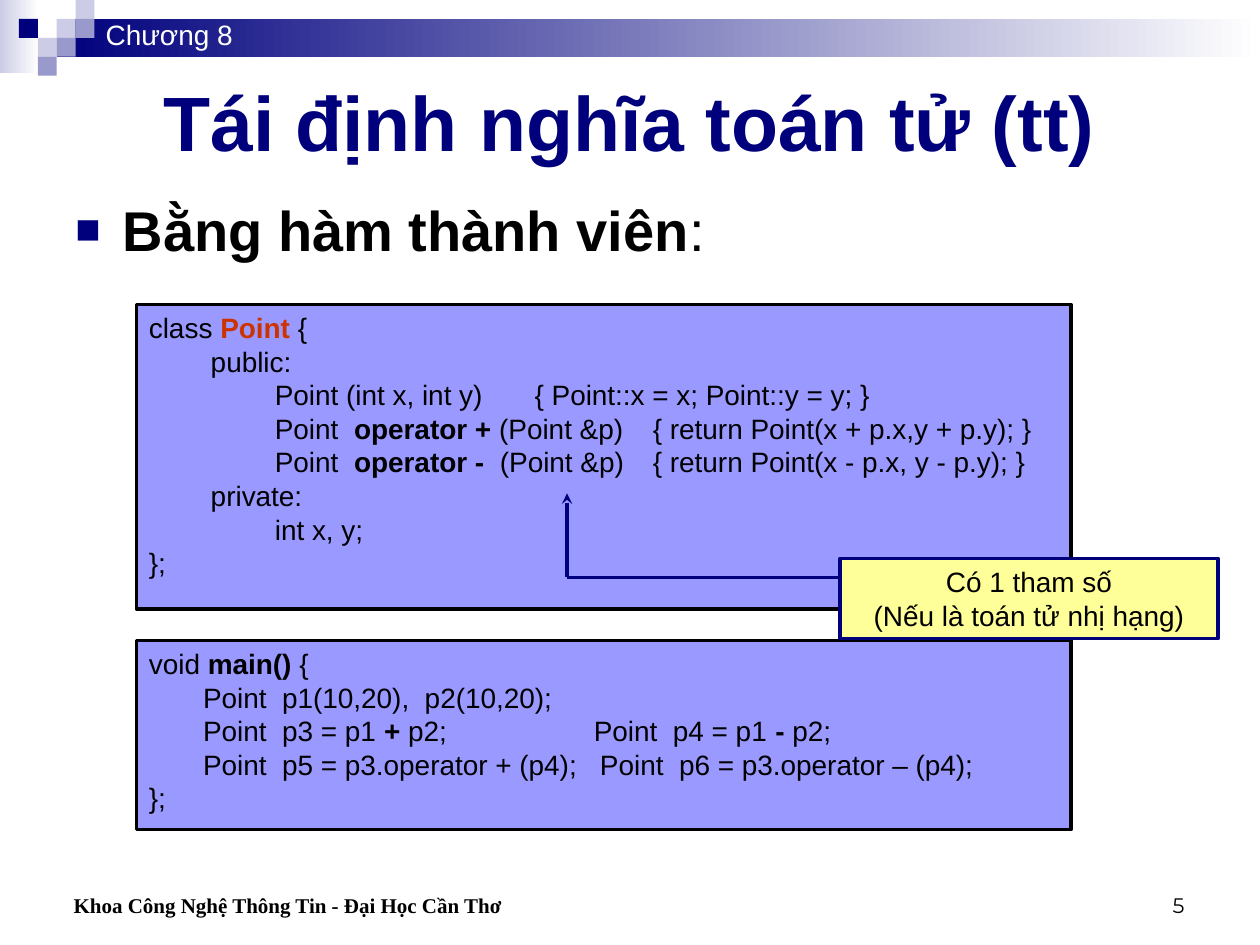
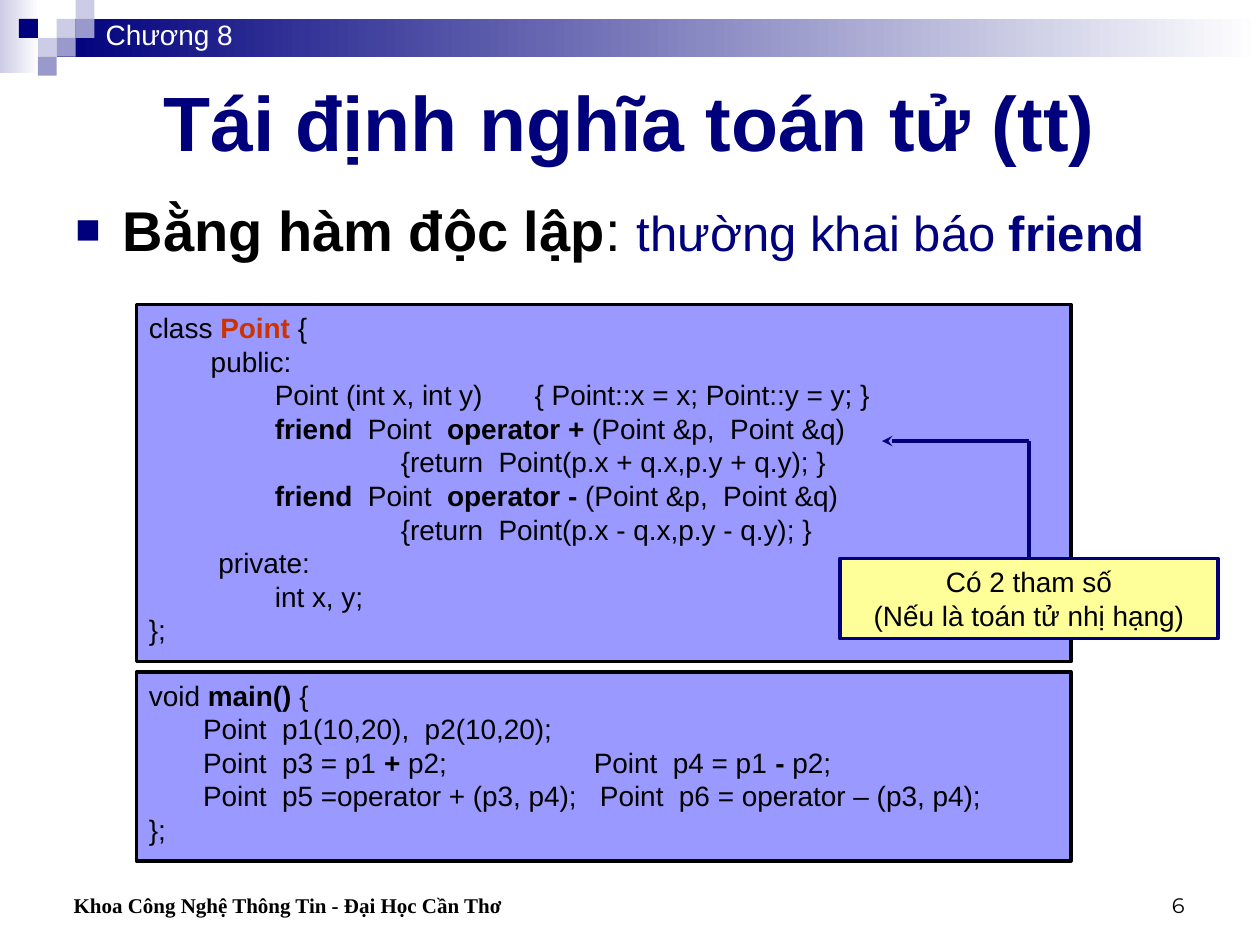
from lxml import etree
from pptx import Presentation, util as u
from pptx.dml.color import RGBColor
from pptx.enum import shapes, text
from pptx.oxml.ns import qn

NAVY, LILAC, MAUVE = "00007D", "CCCCE6", "9999CC"
WHITE, BLACK, RED = "FFFFFF", "000000", "CC3300"
CODE_FILL, NOTE_FILL = "9999FF", "FFFF99"

CHAPTER = "Chương 8"
TITLE = "Tái định nghĩa toán tử (tt)"
FOOTER = "Khoa Công Nghệ Thông Tin - Đại Học Cần Thơ"

GRADIENT_BANDS = [(0, 0, 22.3, 41.8, LILAC), (32.4, 10.8, 687.6, 21.6, NAVY)]
SQUARE = 10.8
SQUARES = [(3, 1, LILAC), (4, 0, LILAC), (4, 1, MAUVE), (2, 2, LILAC),
           (1, 1, NAVY), (3, 2, MAUVE), (2, 3, MAUVE)]

CODE_LEFT, CODE_TOP, CODE_WIDTH, MAIN_HEIGHT = 78, 174, 534, 108
NOTE_BOX = (480, 319, 216, 46)
BOLD_MARK = "|"
BOLD_COLORS = {"Point": RED}

CLASS_START = [
    "class |Point| {",
    "        public:",
    "\tPoint (int x, int y)\t { Point::x = x; Point::y = y; }",
]
MAIN_START = [
    "void |main()| {",
    "       Point  p1(10,20),  p2(10,20);",
    "       Point  p3 = p1 |+| p2;                   Point  p4 = p1 |-| p2;",
]
CLASS_END = ["\tint x, y;", "};"]

SLIDES = [
    {
        "number": "5",
        "heading": [("Bằng hàm thành viên", 32, BLACK, True), (":", 32, BLACK, False)],
        "class_height": 174,
        "class_code": CLASS_START + [
            "\tPoint  |operator +| (Point &p)\t{ return Point(x + p.x,y + p.y); }",
            "\tPoint  |operator - | (Point &p)\t{ return Point(x - p.x, y - p.y); }",
            "        private:",
        ] + CLASS_END,
        "main_top": 366,
        "main_code": MAIN_START + [
            "       Point  p5 = p3.operator + (p4);   Point  p6 = p3.operator – (p4);",
            "};",
        ],
        "note": ["Có 1 tham số", "(Nếu là toán tử nhị hạng)"],
        "pointer": [(480, 330), (324, 330), (324, 282)],
        "from_note_top": False,
    },
    {
        "number": "6",
        "heading": [("Bằng hàm độc lập", 32, BLACK, True), (": ", 32, BLACK, False),
                    ("thường khai báo ", 28, NAVY, False), ("friend", 28, NAVY, True)],
        "class_height": 204,
        "class_code": CLASS_START + [
            "\t|friend|  Point  |operator +| (Point &p,  Point &q)",
            "\t\t{return  Point(p.x + q.x,p.y + q.y); }",
            "\t|friend|  Point  |operator -| (Point &p,  Point &q)",
            "\t\t{return  Point(p.x - q.x,p.y - q.y); }",
            "         private:",
        ] + CLASS_END,
        "main_top": 384,
        "main_code": MAIN_START + [
            "       Point  p5 =operator + (p3, p4);   Point  p6 = operator – (p3, p4);",
            "};",
        ],
        "note": ["Có 2 tham số", "(Nếu là toán tử nhị hạng)"],
        "pointer": [(588, 319), (588, 252), (504, 252)],
        "from_note_top": True,
    },
]


def rgb(value):
    return RGBColor.from_string(value)


def points(*values):
    return [u.Pt(value) for value in values]


def set_font(font, size, color, bold=False, name="Arial"):
    font.name, font.size, font.bold = name, u.Pt(size), bold
    font.color.rgb = rgb(color)


def add_rectangle(slide, box, fill, line=None):
    shape = slide.shapes.add_shape(shapes.MSO_SHAPE.RECTANGLE, *points(*box))
    shape.shadow.inherit = False
    shape.fill.solid()
    shape.fill.fore_color.rgb = rgb(fill)
    if line:
        shape.line.color.rgb = rgb(line)
        shape.line.width = u.Pt(2)
    else:
        shape.line.fill.background()
    return shape


def prepare_frame(shape, anchor):
    frame = shape.text_frame
    frame.word_wrap = True
    frame.vertical_anchor = anchor
    return frame


def add_label(slide, box, label, size, color, bold=False, name="Arial",
              align=text.PP_ALIGN.LEFT, anchor=text.MSO_ANCHOR.TOP):
    frame = prepare_frame(slide.shapes.add_textbox(*points(*box)), anchor)
    paragraph = frame.paragraphs[0]
    paragraph.text = label
    paragraph.alignment = align
    set_font(paragraph.font, size, color, bold, name)


def add_element(parent, tag, **attributes):
    return etree.SubElement(parent, qn(tag), attributes)


def add_heading(slide, runs):
    shape = slide.shapes.add_textbox(*points(36, 108, 660, 60))
    paragraph = prepare_frame(shape, text.MSO_ANCHOR.TOP).paragraphs[0]
    properties = paragraph._p.get_or_add_pPr()
    properties.set("marL", str(u.Pt(27)))
    properties.set("indent", str(u.Pt(-27)))
    add_element(add_element(properties, "a:buClr"), "a:srgbClr", val=NAVY)
    add_element(properties, "a:buSzPct", val="75000")
    add_element(properties, "a:buFont", typeface="Arial")
    add_element(properties, "a:buChar", char="■")
    for words, size, color, bold in runs:
        run = paragraph.add_run()
        run.text = words
        set_font(run.font, size, color, bold)


def add_lines(shape, lines, align, anchor):
    frame = prepare_frame(shape, anchor)
    for index, line in enumerate(lines):
        paragraph = frame.add_paragraph() if index else frame.paragraphs[0]
        paragraph.alignment = align
        tabs = add_element(paragraph._p.get_or_add_pPr(), "a:tabLst")
        for stop in range(1, 8):
            add_element(tabs, "a:tab", pos=str(u.Pt(72 * stop)), algn="l")
        set_font(paragraph.font, 16, BLACK)
        for part, words in enumerate(line.split(BOLD_MARK)):
            if words:
                bold = part % 2 == 1
                run = paragraph.add_run()
                run.text = words
                set_font(run.font, 16, BOLD_COLORS.get(words, BLACK) if bold else BLACK, bold)


def add_code(slide, top, height, lines):
    shape = add_rectangle(slide, (CODE_LEFT, top, CODE_WIDTH, height), CODE_FILL, BLACK)
    add_lines(shape, lines, text.PP_ALIGN.LEFT, text.MSO_ANCHOR.TOP)


def add_line(slide, start, end):
    connector = slide.shapes.add_connector(shapes.MSO_CONNECTOR.STRAIGHT, *points(*start, *end))
    connector.line.color.rgb = rgb(NAVY)
    connector.line.width = u.Pt(2)
    add_element(connector._element.spPr, "a:effectLst")
    return connector


def add_note(slide, content):
    note = add_rectangle(slide, NOTE_BOX, NOTE_FILL, NAVY)
    add_lines(note, content["note"], text.PP_ALIGN.CENTER, text.MSO_ANCHOR.MIDDLE)
    start, corner, tip = content["pointer"]
    stem = add_line(slide, start, corner)
    if content["from_note_top"]:
        stem.begin_connect(note, 0)
    arrow = add_line(slide, corner, tip)
    add_element(arrow.line._get_or_add_ln(), "a:tailEnd", type="stealth")


def add_frame(slide, number):
    for *box, color in GRADIENT_BANDS:
        band = add_rectangle(slide, box, color)
        band.fill.gradient()
        band.fill.gradient_angle = 0
        for stop, shade in zip(band.fill.gradient_stops, (color, WHITE)):
            stop.color.rgb = rgb(shade)
    for column, row, color in SQUARES:
        add_rectangle(slide, (column * SQUARE, row * SQUARE, SQUARE, SQUARE), color)
    add_label(slide, (53.3, 6.5, 126, 26.6), CHAPTER, 16, WHITE)
    add_label(slide, (36, 36, 648, 66), TITLE, 44, NAVY, True,
              align=text.PP_ALIGN.CENTER, anchor=text.MSO_ANCHOR.MIDDLE)
    add_label(slide, (35, 492, 331, 36), FOOTER, 12, BLACK, True, "Times New Roman",
              anchor=text.MSO_ANCHOR.BOTTOM)
    add_label(slide, (516, 492, 168, 36), number, 12, BLACK, name="Montserrat",
              align=text.PP_ALIGN.RIGHT, anchor=text.MSO_ANCHOR.BOTTOM)


def main():
    presentation = Presentation()
    presentation.slide_width, presentation.slide_height = points(720, 540)
    for content in SLIDES:
        slide = presentation.slides.add_slide(presentation.slide_layouts[6])
        add_frame(slide, content["number"])
        add_heading(slide, content["heading"])
        add_code(slide, CODE_TOP, content["class_height"], content["class_code"])
        add_code(slide, content["main_top"], MAIN_HEIGHT, content["main_code"])
        add_note(slide, content)
    presentation.save("out.pptx")


if __name__ == "__main__":
    main()
